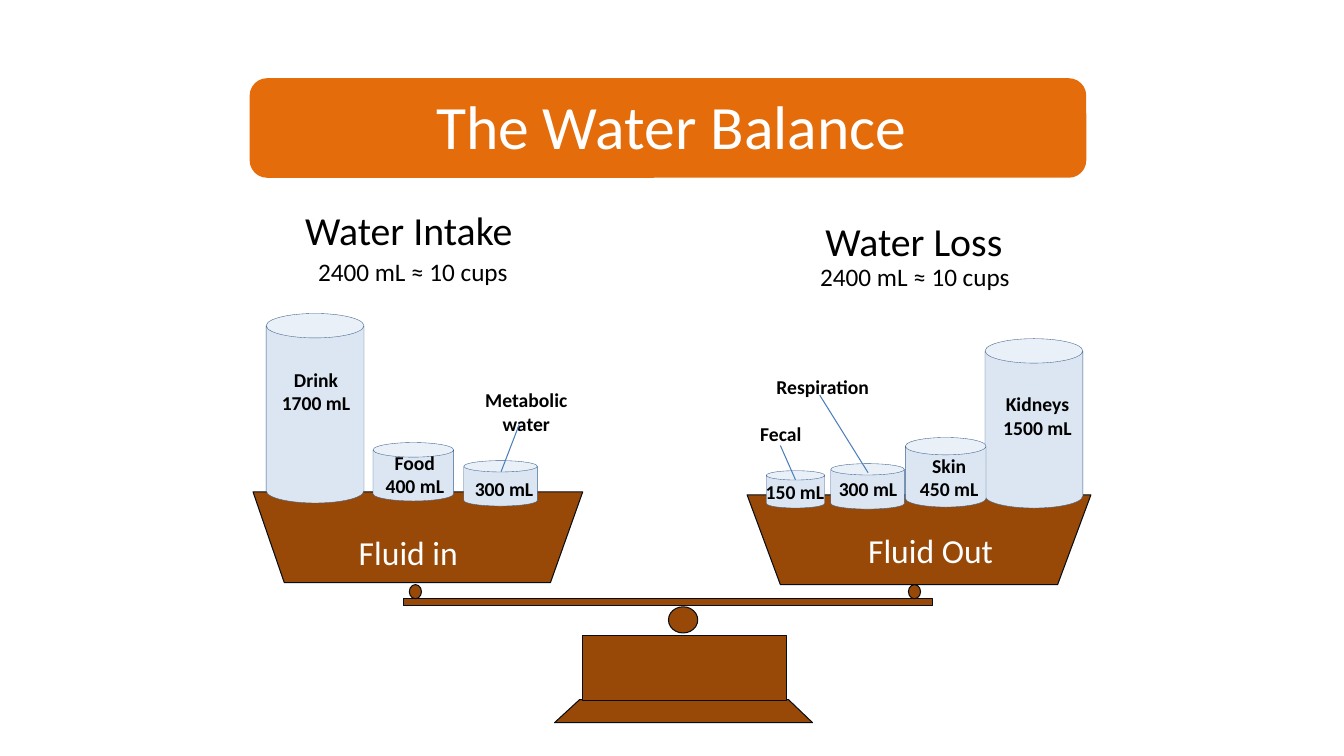
from lxml import etree
from pptx import Presentation
from pptx.dml.color import RGBColor
from pptx.enum.shapes import MSO_CONNECTOR, MSO_SHAPE
from pptx.enum.text import MSO_ANCHOR, MSO_AUTO_SIZE, PP_ALIGN
from pptx.oxml.ns import qn
from pptx.util import Inches, Pt

CAN, OVAL, RECT = MSO_SHAPE.CAN, MSO_SHAPE.OVAL, MSO_SHAPE.RECTANGLE
ROUNDED = MSO_SHAPE.ROUNDED_RECTANGLE
STRAIGHT = MSO_CONNECTOR.STRAIGHT
CENTER, MIDDLE = PP_ALIGN.CENTER, MSO_ANCHOR.MIDDLE
GROW = MSO_AUTO_SIZE.SHAPE_TO_FIT_TEXT

FONT = "Calibri"
COLORS = {
    "wood": "984807", "edge": "060D14", "banner": "E46C0A",
    "water": "DCE6F2", "rim": "3A5F8C", "pointer": "4B7EBC",
    "light": "FFFFFF", "dark": "000000",
}

TITLE = "The Water Balance"
TITLE_BOX = (2.16, 0.61, 9, 1.25)
BANNER_BOX = (2.49, 0.79, 8.27, 0.96)

OUT_PAN = [(7.41, 4.91), (7.74, 5.8), (10.49, 5.8), (10.82, 4.91)]
IN_PAN = [(2.51, 4.88), (2.82, 5.78), (5.46, 5.78), (5.78, 4.88)]
FOOT = [(5.5, 7.17), (5.75, 6.94), (7.82, 6.94), (8.06, 7.17)]
STAND_BOX = (5.78, 6.3, 2.02, 0.65)
PIVOT_BOX = (6.63, 6.02, 0.29, 0.26)
BEAM = [
    (RECT, (4, 5.94, 5.25, 0.07)),
    (OVAL, (4.06, 5.8, 0.12, 0.14)),
    (OVAL, (9.01, 5.8, 0.12, 0.14)),
]

CANS = [
    (2.64, 3.11, 0.97, 1.88),
    (9.77, 3.36, 0.97, 1.68),
    (4.6, 4.57, 0.73, 0.45),
    (3.7, 4.39, 0.8, 0.58),
    (8.98, 4.34, 0.8, 0.69),
    (8.24, 4.6, 0.73, 0.45),
    (7.6, 4.67, 0.58, 0.37),
]

PAN_LABELS = [
    ("Fluid in", (3.33, 5.23, 1.44, 0.5)),
    ("Fluid Out", (8.36, 5.21, 1.74, 0.5)),
]
HEADINGS = [
    ("Water Intake", (2.86, 1.99, 2.39, 0.58)),
    ("Water Loss", (7.48, 2.1, 3.17, 0.58)),
]
TOTALS = [
    ("2400 mL ≈ 10 cups", (2.9, 2.49, 2.39, 0.4)),
    ("2400 mL ≈ 10 cups", (7.88, 2.54, 2.39, 0.4)),
]
CAN_LABELS = [
    ("Drink\n1700 mL", (2.66, 3.6, 0.95, 0.57)),
    ("Food\n400 mL", (3.7, 4.42, 0.83, 0.57)),
    ("300 mL", (4.47, 4.68, 1.06, 0.34)),
    ("Metabolic water", (4.69, 3.8, 1.06, 0.57)),
    ("Fecal", (7.33, 4.14, 0.83, 0.34)),
    ("150 mL", (7.47, 4.71, 0.83, 0.34)),
    ("Respiration", (7.52, 3.67, 1.28, 0.34)),
    ("300 mL", (8.18, 4.68, 0.86, 0.34)),
    ("Skin\n450 mL", (9, 4.45, 0.83, 0.57)),
    ("Kidneys\n1500 mL", (9.82, 3.84, 0.94, 0.57)),
]
LABEL_STYLES = [
    (PAN_LABELS, 24, "light", False),
    (HEADINGS, 28.4, "dark", False),
    (TOTALS, 18, "dark", False),
    (CAN_LABELS, 14, "dark", True),
]
POINTERS = [
    ((4.97, 4.68), (5.15, 4.21)),
    ((8.13, 3.92), (8.61, 4.69)),
    ((7.74, 4.42), (7.89, 4.76)),
]


def color(name):
    return RGBColor.from_string(COLORS[name])


def inches(values):
    return [Inches(value) for value in values]


def paint(shape, fill="wood", edge="edge", width=0.75):
    shape.shadow.inherit = False
    shape.fill.solid()
    shape.fill.fore_color.rgb = color(fill)
    shape.line.color.rgb = color(edge)
    shape.line.width = Pt(width)


def add_part(shapes, kind, box, *style):
    paint(shapes.add_shape(kind, *inches(box)), *style)


def add_outline(shapes, points):
    corners = [inches(point) for point in points]
    builder = shapes.build_freeform(*corners[0])
    builder.add_line_segments(corners[1:], close=True)
    paint(builder.convert_to_shape())


def write(frame, text, size, ink, bold=False):
    frame.text = text
    frame.word_wrap = True
    for para in frame.paragraphs:
        para.alignment = CENTER
        for span in para.runs:
            span.font.name = FONT
            span.font.size = Pt(size)
            span.font.bold = bold
            span.font.color.rgb = color(ink)


def add_label(shapes, text, box, size, ink, bold):
    frame = shapes.add_textbox(*inches(box)).text_frame
    write(frame, text, size, ink, bold)
    frame.auto_size = GROW


def add_pointer(shapes, start, end):
    pointer = shapes.add_connector(STRAIGHT, *inches(start + end))
    pointer.line.color.rgb = color("pointer")
    pointer.line.width = Pt(0.75)
    etree.SubElement(pointer.element.spPr, qn("a:effectLst"))


def add_title(shapes):
    add_part(shapes, ROUNDED, BANNER_BOX, "banner", "banner", 2)
    title = shapes.title
    title.left, title.top, title.width, title.height = inches(TITLE_BOX)
    write(title.text_frame, TITLE, 44, "light")
    title.text_frame.vertical_anchor = MIDDLE
    title.element.getparent().append(title.element)


def add_scale(shapes):
    add_outline(shapes, FOOT)
    add_part(shapes, RECT, STAND_BOX)
    beam = shapes.add_group_shape()
    for kind, box in BEAM:
        add_part(beam.shapes, kind, box)
    for pan in (IN_PAN, OUT_PAN):
        add_outline(shapes, pan)
    add_part(shapes, OVAL, PIVOT_BOX)


def main():
    deck = Presentation()
    deck.slide_width, deck.slide_height = inches((13.33, 7.5))
    page = deck.slides.add_slide(deck.slide_layouts[5])
    shapes = page.shapes
    add_title(shapes)
    add_scale(shapes)
    for box in CANS:
        add_part(shapes, CAN, box, "water", "rim", 0.25)
    for labels, size, ink, bold in LABEL_STYLES:
        for text, box in labels:
            add_label(shapes, text, box, size, ink, bold)
    for start, end in POINTERS:
        add_pointer(shapes, start, end)
    deck.save("out.pptx")


if __name__ == "__main__":
    main()
